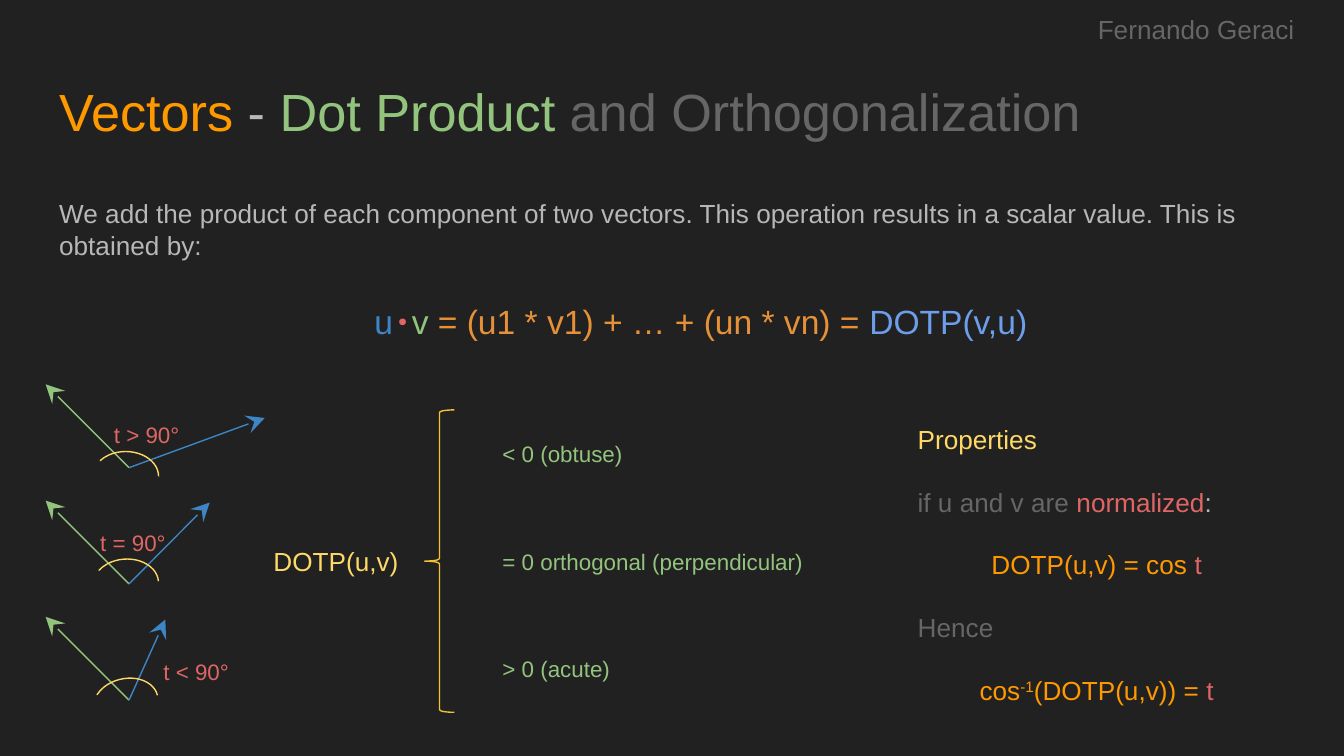
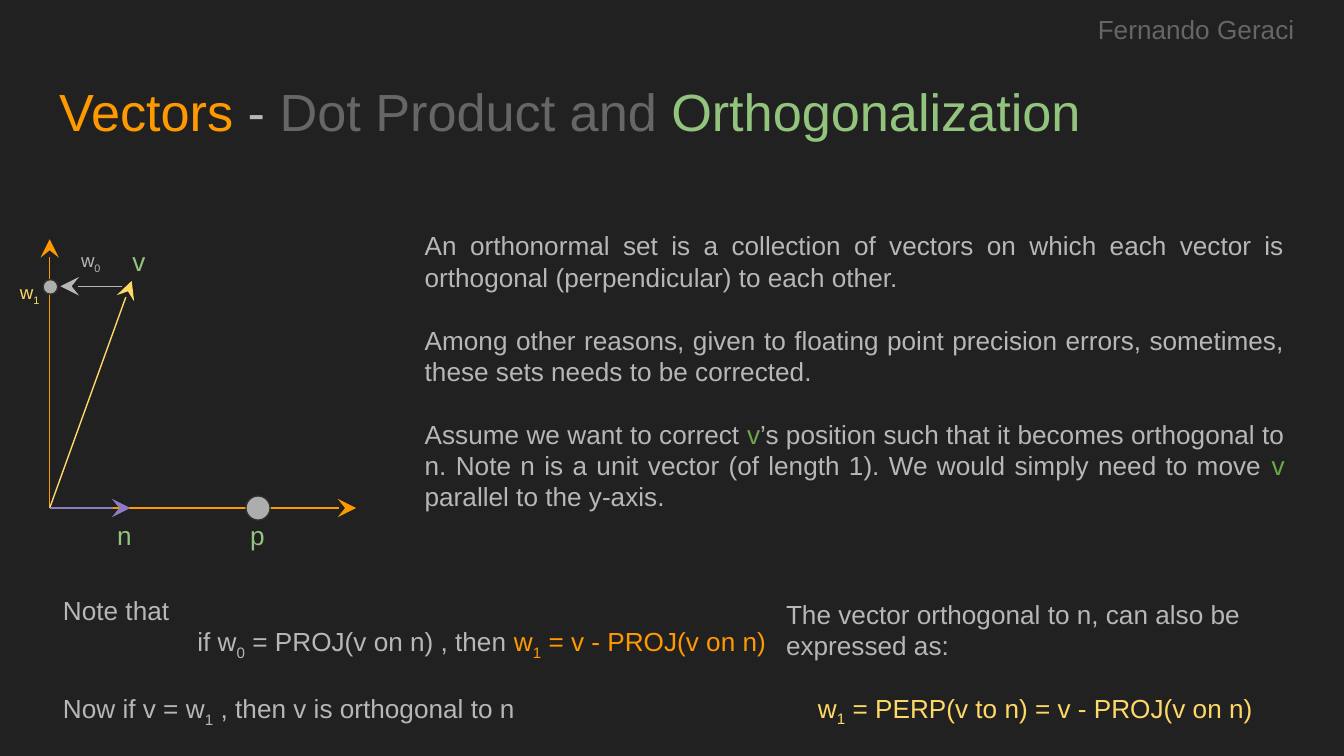
from lxml.etree import SubElement
from pptx import Presentation
from pptx.dml.color import RGBColor
from pptx.enum.shapes import MSO_CONNECTOR, MSO_SHAPE
from pptx.enum.text import MSO_ANCHOR, MSO_AUTO_SIZE, PP_ALIGN
from pptx.oxml.ns import qn
from pptx.util import Inches, Pt

BACKGROUND = RGBColor(0x21, 0x21, 0x21)
GRAY = RGBColor(0x66, 0x66, 0x66)
LIGHT = RGBColor(0xB7, 0xB7, 0xB7)
ORANGE = RGBColor(0xFF, 0x99, 0x00)
DARK_ORANGE = RGBColor(0xE6, 0x91, 0x38)
GREEN = RGBColor(0x93, 0xC4, 0x7D)
DARK_GREEN = RGBColor(0x6A, 0xA8, 0x4F)
BLUE = RGBColor(0x3D, 0x85, 0xC6)
LIGHT_BLUE = RGBColor(0x6D, 0x9E, 0xEB)
RED = RGBColor(0xE0, 0x66, 0x66)
YELLOW = RGBColor(0xFF, 0xD9, 0x66)
GOLD = RGBColor(0xF1, 0xC2, 0x32)
PURPLE = RGBColor(0x8E, 0x7C, 0xC3)
POINT_FILL = RGBColor(0xAD, 0xAD, 0xAD)
POINT_LINE = RGBColor(0x30, 0x30, 0x30)

FONT = "Arial"
LINE_WIDTH = Pt(0.75)
SUBSCRIPT, SUPERSCRIPT = {"baseline": -25000}, {"baseline": 30000}
CENTER, JUSTIFY = PP_ALIGN.CENTER, PP_ALIGN.JUSTIFY
GAP = 16.8  # height of one 14 pt line


def write_text(slide, box, paragraphs, shape=None, size=14, align=PP_ALIGN.LEFT,
               anchor=MSO_ANCHOR.TOP):
    """Each paragraph is (runs, format); each run is (text, colour[, attributes])."""
    left, top, width, height = map(Inches, box)
    if shape is None:
        shape = slide.shapes.add_textbox(left, top, width, height)
    shape.left, shape.top, shape.width, shape.height = left, top, width, height
    frame = shape.text_frame
    frame.word_wrap = True
    frame.auto_size = MSO_AUTO_SIZE.NONE
    frame.vertical_anchor = anchor
    frame.margin_left = frame.margin_right = Inches(0.1)
    frame.margin_top = frame.margin_bottom = Inches(0.1)
    for index, (runs, style) in enumerate(paragraphs):
        paragraph = frame.add_paragraph() if index else frame.paragraphs[0]
        properties = paragraph._p.get_or_add_pPr()
        properties.set("marL", str(Inches(style.get("indent", 0))))
        properties.set("indent", "0")
        SubElement(properties, qn("a:buNone"))
        paragraph.alignment = style.get("align", align)
        paragraph.space_before = Pt(style.get("before", 0))
        for text, color, *attributes in runs:
            run = paragraph.add_run()
            run.text = text
            run.font.name = FONT
            run.font.size = Pt(style.get("size", size))
            run.font.color.rgb = color
            for name, value in (attributes[0] if attributes else {}).items():
                run.font._element.set(name, str(value))


def add_arrow(slide, start, tip, color):
    arrow = slide.shapes.add_connector(MSO_CONNECTOR.STRAIGHT, *map(Inches, start + tip))
    arrow.line.color.rgb = color
    arrow.line.width = LINE_WIDTH
    SubElement(arrow.line._get_or_add_ln(), qn("a:tailEnd"), type="stealth", w="lg", len="lg")
    SubElement(arrow._element.spPr, qn("a:effectLst"))


presentation = Presentation()
presentation.slide_width = Inches(10)
presentation.slide_height = Inches(5.625)
master_fill = presentation.slide_master.background.fill
master_fill.solid()
master_fill.fore_color.rgb = BACKGROUND

# Title and author on both slides
title_endings = [
    [("Dot Product ", GREEN), ("and Orthogonalization", GRAY)],
    [("Dot Product and ", GRAY), ("Orthogonalization", GREEN)],
]
for ending in title_endings:
    slide = presentation.slides.add_slide(presentation.slide_layouts[1])
    write_text(slide, (0.34, 0.49, 9.32, 0.63),
               [([("Vectors ", ORANGE), ("- ", LIGHT)] + ending, {})],
               shape=slide.shapes.title, size=28)
    write_text(slide, (7.8, 0, 2.2, 0.46), [([("Fernando Geraci", GRAY)], {})], align=CENTER)
dot_slide, orthogonal_slide = presentation.slides

# Slide 1: definition and formula
write_text(dot_slide, (0.34, 1.37, 9.25, 0.63), [
    ([("We add the product of each component of two vectors. "
       "This operation results in a scalar value. This is obtained by:", LIGHT)], {}),
    ([("u", BLUE), (" ", BLUE, {"spc": 500}), ("v ", GREEN),
      ("= (u1 * v1) + … + (un * vn) = ", DARK_ORANGE), ("DOTP(v,u)", LIGHT_BLUE)],
     {"size": 18, "align": CENTER, "indent": 0.5, "before": 21.6}),
], shape=dot_slide.placeholders[1])
product_dot = dot_slide.shapes.add_shape(
    MSO_SHAPE.OVAL, Inches(2.97), Inches(2.37), Inches(0.05), Inches(0.05))
product_dot.shadow.inherit = False
product_dot.fill.solid()
product_dot.fill.fore_color.rgb = RED
product_dot.line.fill.background()

# Slide 1: obtuse, right and acute angles
angles = [  # tip of u, top and rotation of the arc, label, label box
    ((1.97, 3.11), 3.36, 0, "t > 90° ", (0.7, 3.09, 0.83, 0.29)),
    ((1.56, 3.74), 4.16, 355.3, "t = 90°", (0.54, 3.89, 0.9, 0.29)),
    ((1.23, 4.61), 5.05, 345.5, "t < 90°", (0.74, 4.85, 1.44, 0.29)),
]
for row, (tip, arc_top, rotation, label, label_box) in enumerate(angles):
    origin = (0.96, 3.48 + row * 0.865)
    add_arrow(dot_slide, origin, (0.34, origin[1] - 0.62), GREEN)
    add_arrow(dot_slide, origin, tip, BLUE)
    arc = dot_slide.shapes.add_shape(
        MSO_SHAPE.ARC, Inches(0.69), Inches(arc_top), Inches(0.49), Inches(0.37))
    arc.adjustments[0], arc.adjustments[1] = 126.79, 0
    arc.rotation = rotation
    arc.shadow.inherit = False
    arc.fill.background()
    arc.line.color.rgb = YELLOW
    arc.line.width = LINE_WIDTH
    write_text(dot_slide, label_box, [([(label, RED)], {})],
               size=12, align=CENTER, anchor=MSO_ANCHOR.MIDDLE)

# Slide 1: sign of the product
write_text(dot_slide, (1.89, 3.05, 1.22, 2.25), [([("DOTP(u,v)", YELLOW)], {})],
           align=CENTER, anchor=MSO_ANCHOR.MIDDLE)
brace = dot_slide.shapes.add_shape(
    MSO_SHAPE.LEFT_BRACE, Inches(3.16), Inches(3.05), Inches(0.22), Inches(2.25))
brace.shadow.inherit = False
brace.fill.background()
brace.line.color.rgb = GOLD
brace.line.width = LINE_WIDTH
cases = ["< 0 (obtuse)", "= 0 orthogonal (perpendicular)", "> 0 (acute)"]
write_text(dot_slide, (3.64, 3.05, 2.98, 2.25),
           [([(case, GREEN)], {"before": 43 if row else 0}) for row, case in enumerate(cases)],
           size=12, anchor=MSO_ANCHOR.MIDDLE)

# Slide 1: properties
write_text(dot_slide, (6.73, 3.05, 2.86, 2.59), [
    ([("Properties", YELLOW)], {}),
    ([("if u and v are ", GRAY), ("normalized", RED), (":", LIGHT)], {"before": GAP}),
    ([("DOTP(u,v) = cos", ORANGE), (" t", RED)], {"before": GAP, "align": CENTER}),
    ([("Hence", GRAY)], {"before": GAP}),
    ([("cos", ORANGE), ("-1", ORANGE, SUPERSCRIPT), ("(DOTP(u,v)) = ", ORANGE), ("t", RED)],
     {"before": GAP, "align": CENTER}),
])

# Slide 2: axes and vectors
origin = (0.37, 3.78)
for tip, color in [((0.37, 1.78), ORANGE), ((2.65, 3.78), ORANGE),
                   ((0.98, 2.09), YELLOW), ((0.97, 3.78), PURPLE)]:
    add_arrow(orthogonal_slide, origin, tip, color)
add_arrow(orthogonal_slide, (0.91, 2.13), (0.45, 2.13), LIGHT)
for left, top, diameter in [(1.83, 3.69, 0.18), (0.32, 2.08, 0.11)]:
    point = orthogonal_slide.shapes.add_shape(
        MSO_SHAPE.OVAL, Inches(left), Inches(top), Inches(diameter), Inches(diameter))
    point.shadow.inherit = False
    point.fill.solid()
    point.fill.fore_color.rgb = POINT_FILL
    point.line.color.rgb = POINT_LINE
    point.line.width = LINE_WIDTH

# Slide 2: labels of the diagram
vector_labels = [("p", 1.48, 3.69), ("v", 0.6, 1.65), ("n", 0.49, 3.69)]
for label, left, top in vector_labels:
    write_text(orthogonal_slide, (left, top, 0.87, 0.58), [([(label, GREEN)], {})],
               align=CENTER, anchor=MSO_ANCHOR.MIDDLE)
for number, box, color in [("0", (0.3, 1.8, 0.75, 0.29), LIGHT),
                           ("1", (0.03, 2.04, 0.38, 0.29), YELLOW)]:
    write_text(orthogonal_slide, box, [([("w", color), (number, color, SUBSCRIPT)], {})],
               size=10, align=CENTER, anchor=MSO_ANCHOR.MIDDLE)

# Slide 2: explanation
write_text(orthogonal_slide, (3.06, 1.61, 6.6, 2.17), [
    ([("An orthonormal set is a collection of vectors on which each vector is "
       "orthogonal (perpendicular) to each other.", LIGHT)], {}),
    ([("Among other reasons, given to floating point precision errors, sometimes, "
       "these sets needs to be corrected.", LIGHT)], {"before": GAP}),
    ([("Assume we want to correct ", LIGHT), ("v", DARK_GREEN),
      ("’s position such that it becomes orthogonal to n. Note n is a unit vector "
       "(of length 1). We would simply need to move ", LIGHT),
      ("v", DARK_GREEN), (" parallel to the y-axis.", LIGHT)], {"before": GAP}),
], shape=orthogonal_slide.placeholders[1], align=JUSTIFY)

# Slide 2: conclusions
write_text(orthogonal_slide, (0.37, 4.32, 9.28, 1.01), [
    ([("Note that", LIGHT)], {}),
    ([("if w", LIGHT), ("0", LIGHT, SUBSCRIPT), (" = PROJ(v on n) , then ", LIGHT),
      ("w", ORANGE), ("1", ORANGE, SUBSCRIPT), (" = v - PROJ(v on n)", ORANGE)],
     {"indent": 1}),
    ([("Now if v = w", LIGHT), ("1", LIGHT, SUBSCRIPT),
      (" , then v is orthogonal to n", LIGHT)], {"before": GAP}),
])
write_text(orthogonal_slide, (5.75, 4.35, 3.91, 1.1), [
    ([("The vector orthogonal to n, can also be expressed as:", LIGHT)], {}),
    ([("w", YELLOW), ("1", YELLOW, SUBSCRIPT),
      (" = PERP(v to n) = v - PROJ(v on n)", YELLOW)], {"before": GAP, "align": CENTER}),
])

presentation.save("out.pptx")
